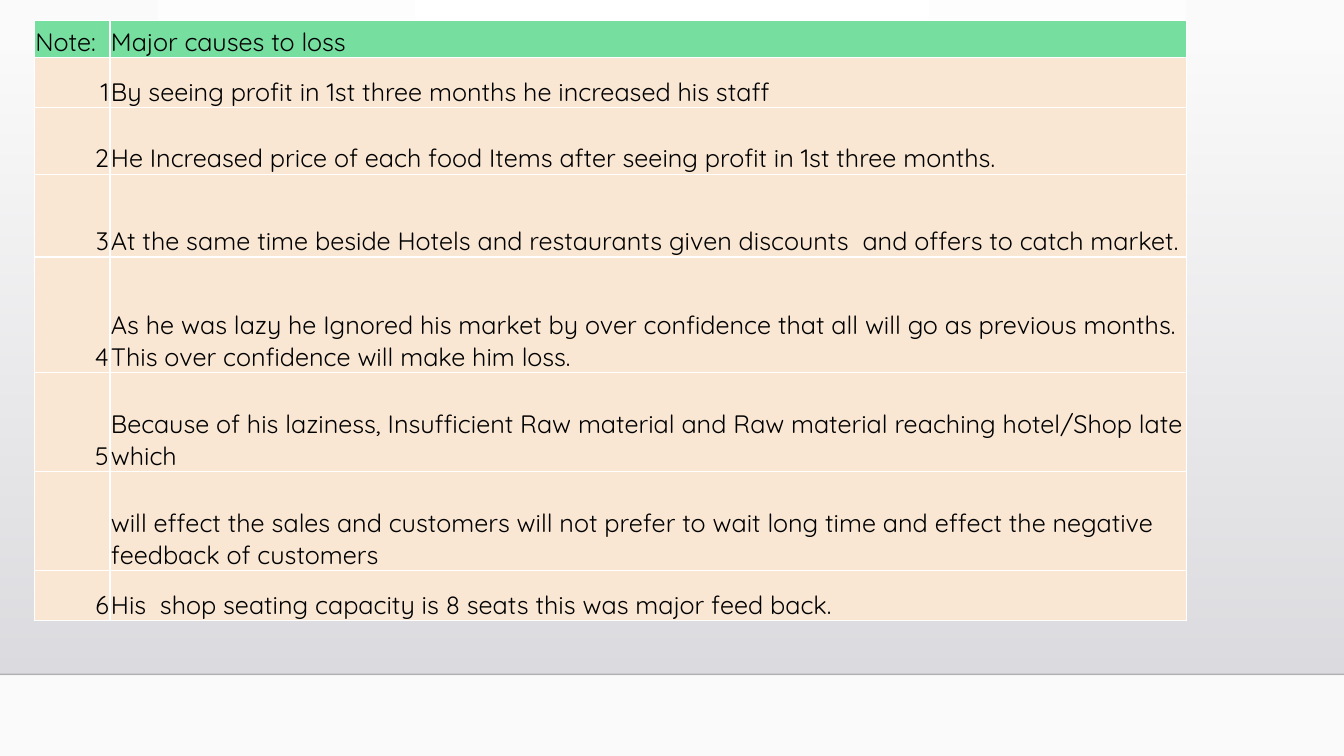
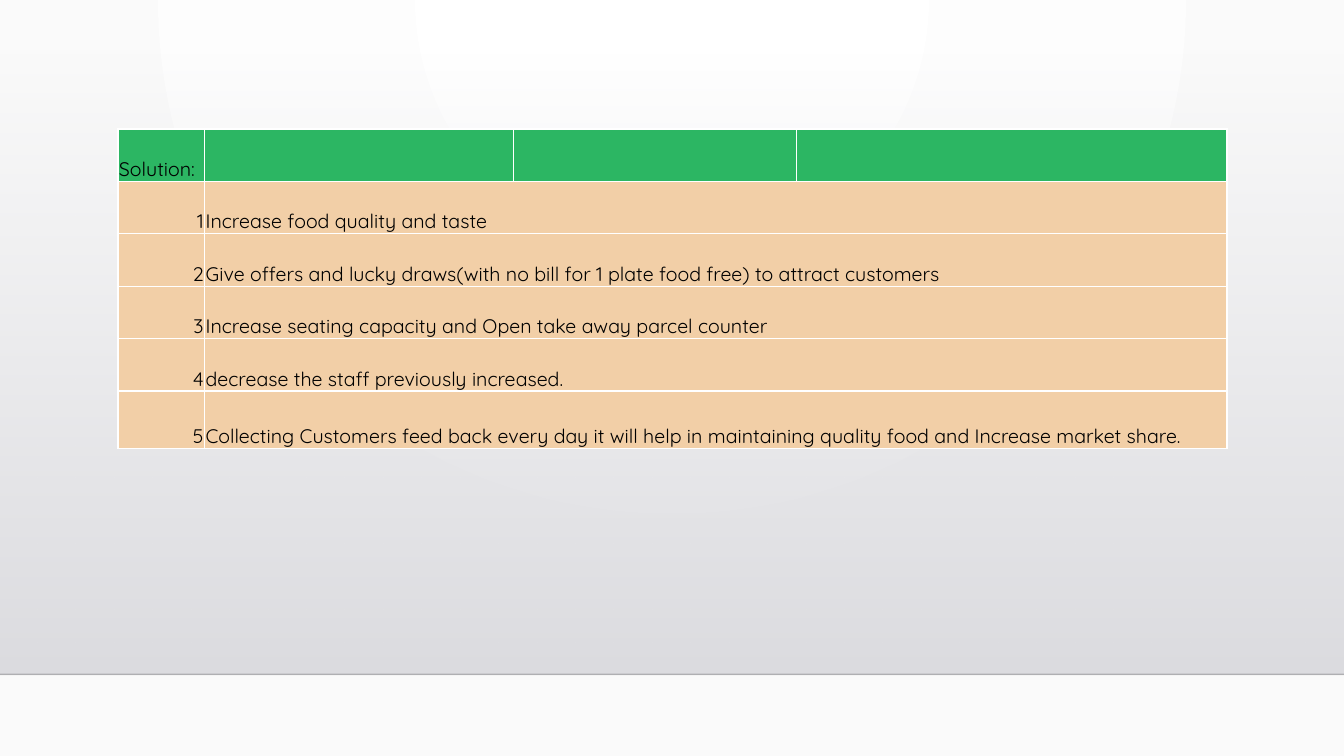
"""Build two slides listing the causes of a shop's loss and the solutions."""
from dataclasses import dataclass

from lxml.etree import SubElement
from pptx import Presentation
from pptx.dml.color import RGBColor
from pptx.dml.fill import FillFormat
from pptx.enum.shapes import MSO_CONNECTOR as Connector, MSO_SHAPE as Shape
from pptx.enum.text import MSO_ANCHOR as Anchor, PP_ALIGN as Align
from pptx.oxml import parse_xml
from pptx.oxml.ns import nsdecls, qn
from pptx.presentation import Presentation as Deck
from pptx.slide import Slide
from pptx.table import _Cell as Cell
from pptx.util import Inches, Pt

WIDTH, HEIGHT = 13.33, 7.5
BAND_TOP, BAND_BOTTOM = 0.51, 6.69
FONT = "Quicksand"
BLACK = RGBColor(0x00, 0x00, 0x00)
RULE = RGBColor(0x00, 0x00, 0x01)
WHITE = RGBColor(0xFF, 0xFF, 0xFF)
PAPER = RGBColor(0xFA, 0xFA, 0xFA)
BAND_LIGHT = RGBColor(0xDC, 0xDC, 0xE0)
BAND_DARK = RGBColor(0xDE, 0xDE, 0xE2)
MINT = RGBColor(0x76, 0xDE, 0x9F)
CREAM = RGBColor(0xF9, 0xE7, 0xD3)
GREEN = RGBColor(0x2C, 0xB6, 0x63)
PEACH = RGBColor(0xF2, 0xCF, 0xA7)


@dataclass(frozen=True)
class Listing:
    """A numbered table with a header row."""
    left: float
    top: float
    columns: tuple[float, ...]
    heights: tuple[float, ...]
    size: int
    header_fill: RGBColor
    body_fill: RGBColor
    header: tuple[str, str]
    items: tuple[tuple[str, str], ...]


CAUSES = Listing(
    0.34, 0.2, (0.75, 10.68), (0.37, 0.5, 0.66, 0.82, 1.15, 0.98, 0.98, 0.5),
    18, MINT, CREAM, ("Note:", "Major causes to loss"),
    (
        ("1", "By seeing profit in 1st three months he increased his staff"),
        ("2", "He Increased price of each food Items after seeing profit in 1st three months."),
        ("3", "At the same time beside Hotels and restaurants given discounts  and offers to catch market."),
        ("4", "As he was lazy he Ignored his market by over confidence that all will go as "
              "previous months. This over confidence will make him loss."),
        ("5", "Because of his laziness, Insufficient Raw material and Raw material reaching "
              "hotel/Shop late which"),
        ("", "will effect the sales and customers will not prefer to wait long time and effect "
             "the negative feedback of customers"),
        ("6", "His  shop seating capacity is 8 seats this was major feed back."),
    ),
)
SOLUTIONS = Listing(
    1.17, 1.28, (0.86, 3.06, 2.81, 4.27), (0.52,) * 5 + (0.57,),
    14, GREEN, PEACH, ("Solution:", ""),
    (
        ("1", "Increase food quality and taste"),
        ("2", "Give offers and lucky draws(with no bill for 1 plate food free) to attract customers"),
        ("3", "Increase seating capacity and Open take away parcel counter"),
        ("4", "decrease the staff previously increased."),
        ("5", "Collecting Customers feed back every day it will help in maintaining quality food "
              "and Increase market share."),
    ),
)


def set_gradient(fill: FillFormat, start: RGBColor, end: RGBColor) -> None:
    """Give a fill a two-colour gradient."""
    fill.gradient()
    for stop, color, position in zip(fill.gradient_stops, (start, end), (0, 1)):
        stop.color.rgb = color
        stop.position = position


def set_background(deck: Deck) -> None:
    """Put the round glow on the master."""
    master = deck.slide_master
    set_gradient(master.background.fill, WHITE, PAPER)
    gradient = next(master.element.iter(qn("a:gradFill")))
    gradient.replace(gradient.find(qn("a:lin")), parse_xml(
        f'<a:path {nsdecls("a")} path="circle">'
        '<a:fillToRect l="43000" t="0" r="43000" b="100000"/></a:path>'))


def set_alpha(element, percent: int) -> None:
    """Set the opacity of the first colour inside an element."""
    color = next(element.iter(qn("a:srgbClr")))
    SubElement(color, qn("a:alpha")).set("val", str(percent * 1000))


def add_band(page: Slide) -> None:
    """Draw the fading band and the rule below it."""
    band = page.shapes.add_shape(
        Shape.RECTANGLE, 0, Inches(BAND_TOP), Inches(WIDTH), Inches(BAND_BOTTOM - BAND_TOP))
    band.shadow.inherit = False
    set_gradient(band.fill, BAND_LIGHT, BAND_DARK)
    band.fill.gradient_angle = 270
    set_alpha(band.element, 0)
    band.line.fill.background()
    rule = page.shapes.add_connector(
        Connector.STRAIGHT, 0, Inches(BAND_BOTTOM), Inches(WIDTH), Inches(BAND_BOTTOM))
    rule.line.color.rgb = RULE
    rule.line.width = Pt(1)
    set_alpha(rule.element, 20)
    SubElement(rule.element.spPr, qn("a:effectLst"))


def add_borders(cell: Cell) -> None:
    """Draw white one-point lines around a cell."""
    properties = cell._tc.get_or_add_tcPr()
    for index, side in enumerate("LRTB"):
        properties.insert(index, parse_xml(
            f'<a:ln{side} {nsdecls("a")} w="{Pt(1)}"><a:solidFill>'
            f'<a:srgbClr val="{WHITE}"/></a:solidFill></a:ln{side}>'))


def format_cell(cell: Cell, text: str, fill: RGBColor, size: int, align: Align) -> None:
    """Fill in and style one cell."""
    cell.text = text
    cell.vertical_anchor = Anchor.BOTTOM
    cell.margin_left = cell.margin_right = cell.margin_top = Inches(0.01)
    cell.margin_bottom = 0
    cell.fill.solid()
    cell.fill.fore_color.rgb = fill
    add_borders(cell)
    para = cell.text_frame.paragraphs[0]
    para.alignment = align
    para.font.name = FONT
    para.font.size = Pt(size)
    para.font.color.rgb = BLACK


def add_listing(page: Slide, listing: Listing) -> None:
    """Draw a listing as a table."""
    rows = (listing.header, *listing.items)
    count = len(listing.columns)
    table = page.shapes.add_table(
        len(rows), count, Inches(listing.left), Inches(listing.top),
        Inches(sum(listing.columns)), Inches(sum(listing.heights))).table
    table.first_row = table.horz_banding = False
    for column, width in zip(table.columns, listing.columns):
        column.width = Inches(width)
    for index, (texts, height) in enumerate(zip(rows, listing.heights)):
        table.rows[index].height = Inches(height)
        fill = listing.body_fill if index else listing.header_fill
        for position in range(count):
            text = texts[position] if position < len(texts) else ""
            align = Align.RIGHT if index and position == 0 else Align.LEFT
            format_cell(table.cell(index, position), text, fill, listing.size, align)
        if index and count > 2:
            table.cell(index, 1).merge(table.cell(index, count - 1))


def main() -> None:
    """Build and save the deck."""
    deck = Presentation()
    deck.slide_width, deck.slide_height = Inches(WIDTH), Inches(HEIGHT)
    set_background(deck)
    for listing in (CAUSES, SOLUTIONS):
        page = deck.slides.add_slide(deck.slide_layouts[6])
        add_band(page)
        add_listing(page, listing)
    deck.save("out.pptx")


if __name__ == "__main__":
    main()
